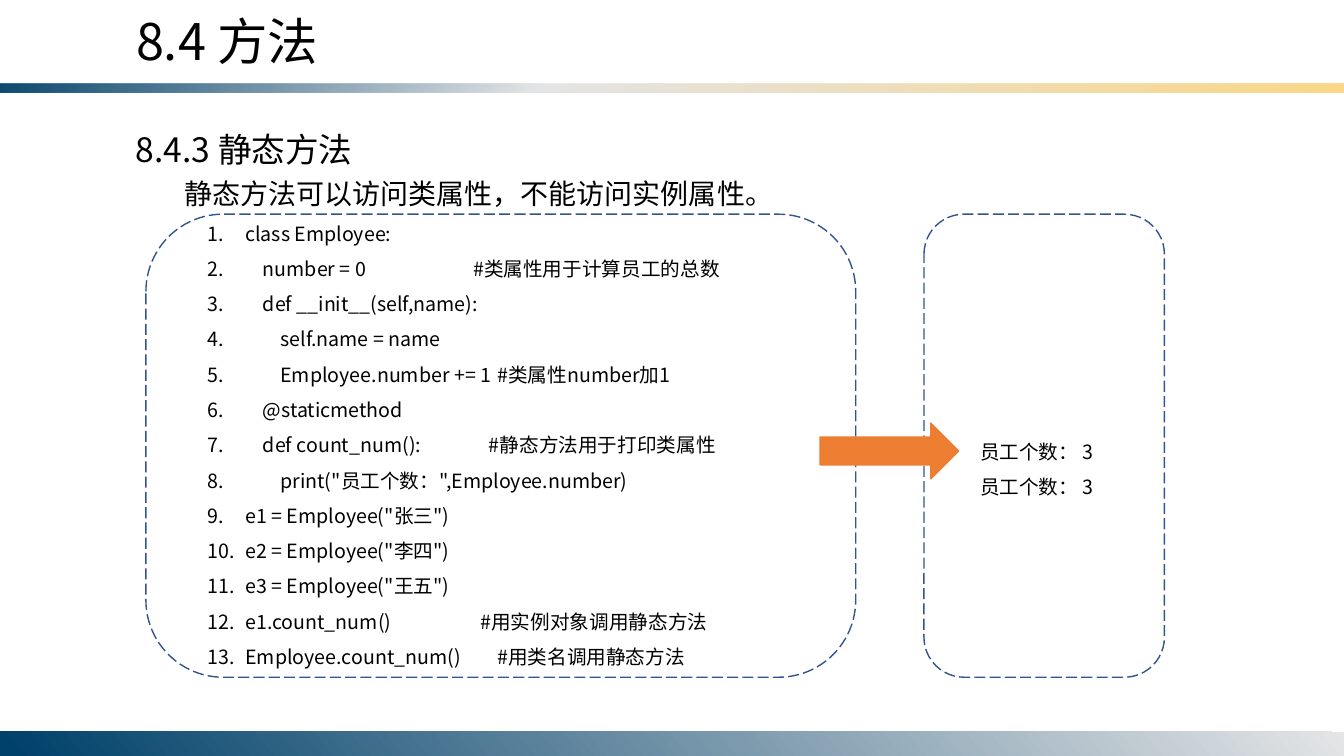
"""Build the slide on static methods."""
from dataclasses import dataclass

from lxml import etree
from pptx import Presentation
from pptx import util as u
from pptx.dml.color import RGBColor
from pptx.enum import dml, shapes, text
from pptx.oxml.ns import qn

PX = 9525
FONT = "Noto Sans CJK SC"
COLORS = {
    "ink": "000000",
    "navy": "00416A",
    "mist": "E4E5E6",
    "sand": "FBD786",
    "frame": "325491",
    "arrow": "ED7D31",
}


@dataclass(frozen=True)
class Area:
    left: int
    top: int
    width: int
    height: int

    def emu(self) -> list[int]:
        return [n * PX for n in (self.left, self.top, self.width, self.height)]


@dataclass(frozen=True)
class Stop:
    percent: int
    color: str
    opacity: int = 100


@dataclass(frozen=True)
class Bar:
    area: Area
    angle: int
    stops: tuple[Stop, ...]


@dataclass(frozen=True)
class Label:
    area: Area
    lines: tuple[str, ...]
    size: int
    spacing: float = 1.0
    indent: int = 0


@dataclass(frozen=True)
class CodeLine:
    code: str
    comment: str = ""
    tab: int = 0


BARS = (
    Bar(Area(0, 80, 1280, 8), 50,
        (Stop(0, "navy", 95), Stop(40, "mist"), Stop(100, "sand"))),
    Bar(Area(0, 697, 1280, 23), 140, (Stop(0, "mist"), Stop(99, "navy"))),
)
TITLE = Label(Area(120, 5, 588, 68), ("8.4 方法",), 36)
LABELS = (
    Label(Area(120, 118, 495, 48), ("8.4.3 静态方法",), 24),
    Label(Area(112, 147, 1055, 58),
          ("静态方法可以访问类属性，不能访问实例属性。",), 20, 1.5, 54),
    Label(Area(924, 403, 143, 78), ("员工个数： 3",) * 2, 14, 1.5),
)
FRAMES = (Area(139, 204, 676, 441), Area(880, 204, 229, 441))
ARROW = Area(781, 403, 132, 53)
CODE_AREA = Area(188, 195, 611, 450)
CODE_INDENT = 36
CODE = (
    CodeLine("class Employee:"),
    CodeLine("    number = 0", "#类属性用于计算员工的总数", 253),
    CodeLine("    def __init__(self,name):"),
    CodeLine("        self.name = name"),
    CodeLine("        Employee.number += 1", "#类属性number加1", 276),
    CodeLine("    @staticmethod"),
    CodeLine("    def count_num():", "#静态方法用于打印类属性", 268),
    CodeLine('        print("员工个数：",Employee.number)'),
    CodeLine('e1 = Employee("张三")'),
    CodeLine('e2 = Employee("李四")'),
    CodeLine('e3 = Employee("王五")'),
    CodeLine("e1.count_num()", "#用实例对象调用静态方法", 260),
    CodeLine("Employee.count_num()", "#用类名调用静态方法", 276),
)


def rgb(name: str) -> RGBColor:
    return RGBColor.from_string(COLORS[name])


def place(box, area: Area) -> None:
    box.left, box.top, box.width, box.height = area.emu()


def prepare_frame(box) -> None:
    frame = box.text_frame
    frame.word_wrap = True
    frame.auto_size = text.MSO_AUTO_SIZE.SHAPE_TO_FIT_TEXT
    frame.vertical_anchor = text.MSO_ANCHOR.TOP


def style_paragraph(para, size: int, spacing: float) -> None:
    para.alignment = text.PP_ALIGN.LEFT
    para.line_spacing = spacing
    para.space_before = u.Pt(0)
    para.font.size = u.Pt(size)
    para.font.name = FONT
    para.font.color.rgb = rgb("ink")
    defaults = para._p.pPr.find(qn("a:defRPr"))
    etree.SubElement(defaults, qn("a:ea"), typeface=FONT)


def next_paragraph(frame, index: int):
    return frame.add_paragraph() if index else frame.paragraphs[0]


def write_label(box, label: Label) -> None:
    prepare_frame(box)
    for index, line in enumerate(label.lines):
        para = next_paragraph(box.text_frame, index)
        para.text = line
        if label.indent:
            para._p.get_or_add_pPr().set("indent", str(label.indent * PX))
        style_paragraph(para, label.size, label.spacing)


def write_code(box) -> None:
    prepare_frame(box)
    for index, line in enumerate(CODE):
        para = next_paragraph(box.text_frame, index)
        para.text = f"{line.code}\t{line.comment}" if line.comment else line.code
        props = para._p.get_or_add_pPr()
        props.set("marL", str(CODE_INDENT * PX))
        props.set("indent", str(-CODE_INDENT * PX))
        etree.SubElement(props, qn("a:buFont"), typeface="+mj-lt")
        etree.SubElement(props, qn("a:buAutoNum"), type="arabicPeriod")
        if line.tab:
            tabs = etree.SubElement(props, qn("a:tabLst"))
            etree.SubElement(tabs, qn("a:tab"), pos=str(line.tab * PX), algn="l")
        style_paragraph(para, 14, 1.5)


def add_box(page, kind, area: Area):
    box = page.shapes.add_shape(kind, *area.emu())
    box.shadow.inherit = False
    return box


def add_bar(page, bar: Bar) -> None:
    box = add_box(page, shapes.MSO_SHAPE.RECTANGLE, bar.area)
    box.line.fill.background()
    box.fill.gradient()
    box.fill.gradient_angle = 360 - bar.angle
    stop_list = box._element.spPr.find(f".//{qn('a:gsLst')}")
    for old in list(stop_list):
        stop_list.remove(old)
    for stop in bar.stops:
        mark = etree.SubElement(stop_list, qn("a:gs"), pos=str(stop.percent * 1000))
        color = etree.SubElement(mark, qn("a:srgbClr"), val=COLORS[stop.color])
        if stop.opacity < 100:
            etree.SubElement(color, qn("a:alpha"), val=str(stop.opacity * 1000))


def add_frame(page, area: Area) -> None:
    box = add_box(page, shapes.MSO_SHAPE.ROUNDED_RECTANGLE, area)
    box.fill.background()
    box.line.color.rgb = rgb("frame")
    box.line.width = u.Pt(1)
    box.line.dash_style = dml.MSO_LINE.LONG_DASH


def add_arrow(page) -> None:
    box = add_box(page, shapes.MSO_SHAPE.RIGHT_ARROW, ARROW)
    box.fill.solid()
    box.fill.fore_color.rgb = rgb("arrow")
    box.line.color.rgb = rgb("arrow")
    box.line.width = u.Pt(1)


def main() -> None:
    deck = Presentation()
    deck.slide_width, deck.slide_height = 1280 * PX, 720 * PX
    page = deck.slides.add_slide(deck.slide_layouts[1])
    title, body = page.shapes.title, page.placeholders[1]
    place(title, TITLE.area)
    write_label(title, TITLE)
    place(body, CODE_AREA)
    write_code(body)
    for bar in BARS:
        add_bar(page, bar)
    for label in LABELS:
        write_label(page.shapes.add_textbox(*label.area.emu()), label)
    for area in FRAMES:
        add_frame(page, area)
    add_arrow(page)
    deck.save("out.pptx")


if __name__ == "__main__":
    main()
